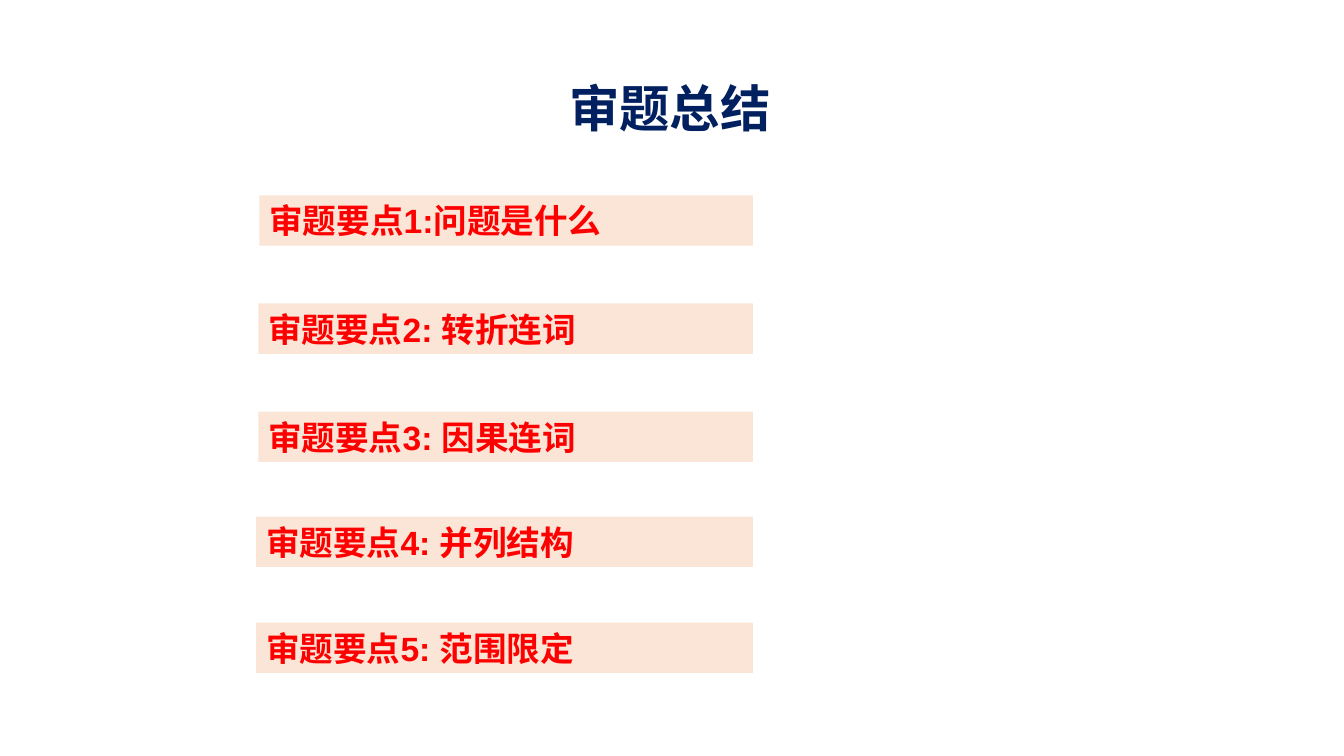
from lxml import etree
from pptx import Presentation, util as u
from pptx.dml.color import RGBColor
from pptx.enum import shapes, text
from pptx.oxml.ns import qn

PX = 9525


def color(value):
    return RGBColor.from_string(value)


def write(frame, words, align, size, font_name, ink):
    frame.text = words
    for key, value in {"word_wrap": True, "auto_size": text.MSO_AUTO_SIZE.NONE,
                       "vertical_anchor": text.MSO_ANCHOR.MIDDLE}.items():
        setattr(frame, key, value)
    paragraph = frame.paragraphs[0]
    paragraph.alignment = align
    run = paragraph.runs[0]
    for key, value in {"size": u.Pt(size), "bold": True, "name": font_name}.items():
        setattr(run.font, key, value)
    run.font.color.rgb = color(ink)
    east_asian = etree.SubElement(run.font._element, qn("a:ea"))
    east_asian.set("typeface", "Noto Sans CJK SC")


deck = Presentation()
deck.slide_width, deck.slide_height = 1280 * PX, 720 * PX
slide = deck.slides.add_slide(deck.slide_layouts[5])

heading = slide.shapes.title
for side, length in {"left": 206, "top": 72, "width": 864, "height": 60}.items():
    setattr(heading, side, length * PX)
write(heading.text_frame, "审题总结", text.PP_ALIGN.CENTER, 36, "Noto Sans CJK SC", "002060")

RIGHT = 717
key_points = [
    (247, 186, "审题要点1:问题是什么"),
    (246, 289, "审题要点2: 转折连词"),
    (246, 392, "审题要点3: 因果连词"),
    (244, 492, "审题要点4: 并列结构"),
    (244, 593, "审题要点5: 范围限定"),
]
for left, top, words in key_points:
    bar = slide.shapes.add_shape(shapes.MSO_SHAPE.RECTANGLE, left * PX, top * PX,
                                 (RIGHT - left) * PX, 48 * PX)
    bar.shadow.inherit = False
    bar.fill.solid()
    bar.fill.fore_color.rgb = color("FBE5D6")
    bar.line.fill.background()
    write(bar.text_frame, words, text.PP_ALIGN.LEFT, 24, "Arial", "FF0000")

deck.save("out.pptx")
